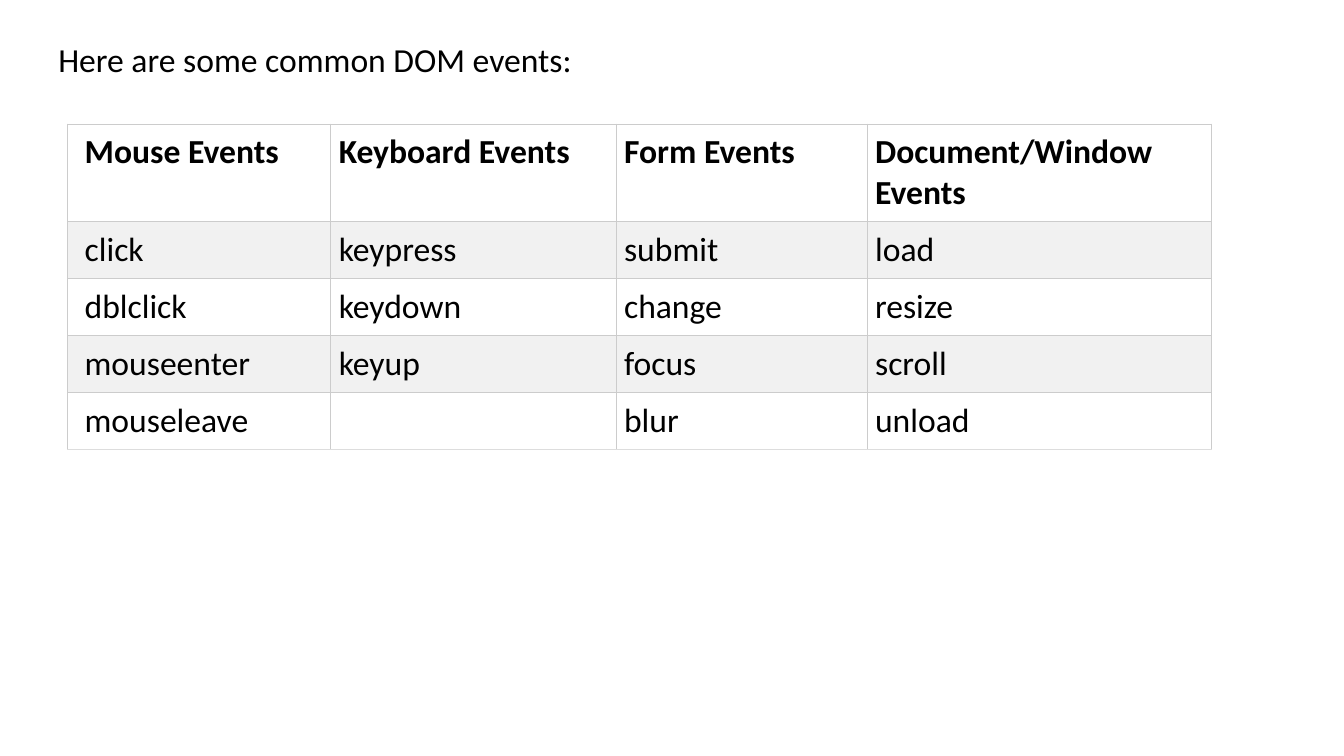
from lxml import etree
from pptx import Presentation
from pptx.dml.color import RGBColor
from pptx.oxml import ns
from pptx.util import Inches, Pt

BLACK = RGBColor(0x00, 0x00, 0x00)
WHITE = RGBColor(0xFF, 0xFF, 0xFF)
STRIPE = RGBColor(0xF1, 0xF1, 0xF1)
GRID = RGBColor(0xCC, 0xCC, 0xCC)
BOTTOM_EDGE = RGBColor(0xDD, 0xDD, 0xDD)

EVENTS = [
    ("Mouse Events", "Keyboard Events", "Form Events", "Document/Window Events"),
    ("click", "keypress", "submit", "load"),
    ("dblclick", "keydown", "change", "resize"),
    ("mouseenter", "keyup", "focus", "scroll"),
    ("mouseleave", "", "blur", "unload"),
]
COLUMN_WIDTHS = (2.61, 2.83, 2.49, 3.42)
HEADER_HEIGHT = 0.97
EVENT_HEIGHT = 0.565


def write(frame, wording, bold=False):
    """Put one line of wording into a text frame in the slide's font."""
    frame.word_wrap = True
    paragraph = frame.paragraphs[0]
    paragraph.text = wording
    font = paragraph.font
    font.name, font.size, font.bold = "Calibri", Pt(24), bold
    font.color.rgb = BLACK


def add_intro(slide, wording):
    """Add the line that introduces the table."""
    intro = slide.shapes.add_textbox(
        Inches(0.48), Inches(0.34), Inches(6.67), Inches(0.5))
    write(intro.text_frame, wording)


def draw_borders(cell, bottom_color):
    """Give a cell thin grid lines on all four sides."""
    properties = cell._tc.get_or_add_tcPr()
    for side in "LRTB":
        line = etree.SubElement(properties, ns.qn(f"a:ln{side}"), w=str(Pt(0.75)))
        fill = etree.SubElement(line, ns.qn("a:solidFill"))
        color = bottom_color if side == "B" else GRID
        etree.SubElement(fill, ns.qn("a:srgbClr"), val=str(color))


def add_events_table(slide):
    """Add the striped table of events, one column for each group."""
    heights = [HEADER_HEIGHT] + [EVENT_HEIGHT] * (len(EVENTS) - 1)
    table = slide.shapes.add_table(
        len(EVENTS), len(COLUMN_WIDTHS), Inches(0.67), Inches(1.23),
        Inches(sum(COLUMN_WIDTHS)), Inches(sum(heights))).table
    for column, width in zip(table.columns, COLUMN_WIDTHS):
        column.width = Inches(width)
    for row, height in zip(table.rows, heights):
        row.height = Inches(height)

    last = len(EVENTS) - 1
    for r, names in enumerate(EVENTS):
        for c, name in enumerate(names):
            cell = table.cell(r, c)
            cell.margin_left = Inches(0.17 if c == 0 else 0.08)
            cell.margin_right = cell.margin_top = cell.margin_bottom = Inches(0.08)
            draw_borders(cell, BOTTOM_EDGE if r == last else GRID)
            cell.fill.solid()
            cell.fill.fore_color.rgb = STRIPE if r % 2 else WHITE
            write(cell.text_frame, name, bold=r == 0)


def main():
    """Build the slide of common DOM events."""
    deck = Presentation()
    deck.slide_width, deck.slide_height = Inches(13.33), Inches(7.5)
    slide = deck.slides.add_slide(deck.slide_layouts[6])
    add_intro(slide, "Here are some common DOM events:")
    add_events_table(slide)
    deck.save("out.pptx")


main()
